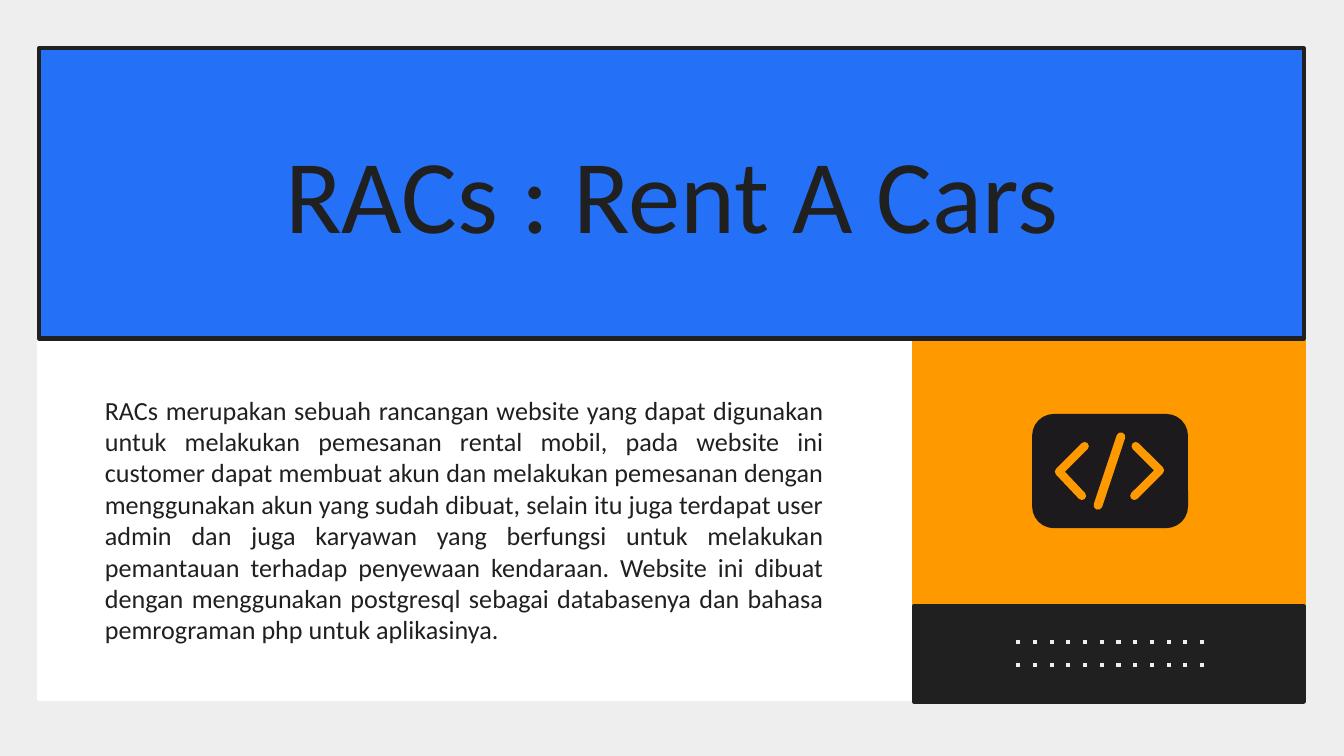
from typing import NamedTuple

import lxml.etree
import pptx
import pptx.dml.color
import pptx.enum.shapes
import pptx.enum.text
import pptx.oxml.ns
import pptx.util

Inches = pptx.util.Inches
Pt = pptx.util.Pt
SHAPES = pptx.enum.shapes.MSO_SHAPE
ALIGN = pptx.enum.text.PP_ALIGN

COLORS = {
    "background": "EEEEEE",
    "white": "FFFFFF",
    "orange": "FF9900",
    "blue": "2471F7",
    "dark": "202020",
    "icon": "1D1A1E",
}
FONT = "Calibri"
BORDER = 2.25


class Panel(NamedTuple):
    x: float
    y: float
    w: float
    h: float
    fill: str
    line: str


class Stroke(NamedTuple):
    points: list[tuple[float, float]]
    width: float


def rgb(name: str) -> pptx.dml.color.RGBColor:
    return pptx.dml.color.RGBColor.from_string(COLORS[name])


def sub(parent, tag: str, **attrs: str):
    return lxml.etree.SubElement(parent, pptx.oxml.ns.qn(tag), **attrs)


def add_panel(s, panel: Panel):
    sp = s.shapes.add_shape(SHAPES.RECTANGLE, *(Inches(v) for v in panel[:4]))
    sp.shadow.inherit = False
    sp.fill.solid()
    sp.fill.fore_color.rgb = rgb(panel.fill)
    sp.line.color.rgb = rgb(panel.line)
    sp.line.width = Pt(BORDER)


def add_stroke(s, stroke: Stroke):
    """Draw an open line with round ends."""
    # The builder rounds its coordinates, so it gets whole EMU
    start, *rest = [(Inches(x), Inches(y)) for x, y in stroke.points]
    builder = s.shapes.build_freeform(*start)
    builder.add_line_segments(rest, close=False)
    sp = builder.convert_to_shape()
    sp.shadow.inherit = False
    sp.fill.background()
    sp.line.color.rgb = rgb("orange")
    sp.line.width = Pt(stroke.width)
    ln = sp.line._get_or_add_ln()
    ln.set("cap", "rnd")
    sub(ln, "a:round")


def add_dotted_line(s, x1: float, x2: float, y: float):
    line = s.shapes.add_connector(
        pptx.enum.shapes.MSO_CONNECTOR.STRAIGHT,
        Inches(x1), Inches(y), Inches(x2), Inches(y))
    line.line.color.rgb = rgb("background")
    line.line.width = Pt(BORDER)
    sub(line.line._get_or_add_ln(), "a:prstDash", val="dot")
    sub(line._element.spPr, "a:effectLst")


def add_text(s, text: str, *, x: float, y: float, w: float, h: float,
             size: float, align, margins=(0, 0, 0, 0), spacing=None):
    box = s.shapes.add_textbox(Inches(x), Inches(y), Inches(w), Inches(h))
    tf = box.text_frame
    tf.word_wrap = True
    tf.vertical_anchor = pptx.enum.text.MSO_ANCHOR.MIDDLE
    (tf.margin_left, tf.margin_top,
     tf.margin_right, tf.margin_bottom) = (Inches(m) for m in margins)
    p = tf.paragraphs[0]
    p.alignment = align
    p.line_spacing = spacing
    r = p.add_run()
    r.text = text
    r.font.name = FONT
    r.font.size = Pt(size)
    r.font.color.rgb = rgb("dark")


PANELS = [
    Panel(0.29, 0.36, 9.41, 4.84, "white", "white"),
    Panel(6.8, 2.52, 2.9, 2.68, "orange", "orange"),
    Panel(0.29, 0.36, 9.41, 2.16, "blue", "dark"),
    Panel(6.8, 4.51, 2.9, 0.71, "dark", "dark"),
]
CODE_STROKES = [
    Stroke([(8.07, 3.32), (7.88, 3.51), (8.05, 3.69)], 4.5),
    Stroke([(8.45, 3.32), (8.63, 3.5), (8.44, 3.69)], 4.5),
    Stroke([(8.34, 3.25), (8.17, 3.76)], 4.75),
]
DESCRIPTION = (
    "RACs merupakan sebuah rancangan website yang dapat digunakan untuk "
    "melakukan pemesanan rental mobil, pada website ini customer dapat "
    "membuat akun dan melakukan pemesanan dengan menggunakan akun yang sudah "
    "dibuat, selain itu juga terdapat user admin dan juga karyawan yang "
    "berfungsi untuk melakukan pemantauan terhadap penyewaan kendaraan. "
    "Website ini dibuat dengan menggunakan postgresql sebagai databasenya "
    "dan bahasa pemrograman php untuk aplikasinya."
)


def main():
    prs = pptx.Presentation()
    # Widescreen, 16:9
    prs.slide_width = Inches(10)
    prs.slide_height = Inches(10 * 9 / 16)
    s = prs.slides.add_slide(prs.slide_layouts[6])
    s.background.fill.solid()
    s.background.fill.fore_color.rgb = rgb("background")

    # Panels
    for panel in PANELS:
        add_panel(s, panel)

    # Description
    add_text(s, DESCRIPTION, x=0.78, y=2.52, w=5.45, h=2.69, size=14,
             align=ALIGN.JUSTIFY, margins=(0, 0.1, 0.1, 0.1))

    # Code icon
    badge = s.shapes.add_shape(SHAPES.ROUNDED_RECTANGLE, Inches(7.68),
                               Inches(3.08), Inches(1.16), Inches(0.85))
    badge.adjustments[0] = 0.19
    badge.shadow.inherit = False
    badge.fill.solid()
    badge.fill.fore_color.rgb = rgb("icon")
    badge.line.fill.background()
    for stroke in CODE_STROKES:
        add_stroke(s, stroke)

    # Dotted lines
    for y in (4.95, 4.78):
        add_dotted_line(s, 8.96, 7.55, y)

    # Title
    add_text(s, "RACs : Rent A Cars", x=0.78, y=0.51, w=8.44, h=2.01,
             size=56, align=ALIGN.CENTER, spacing=0.8)

    prs.save("out.pptx")


if __name__ == "__main__":
    main()
